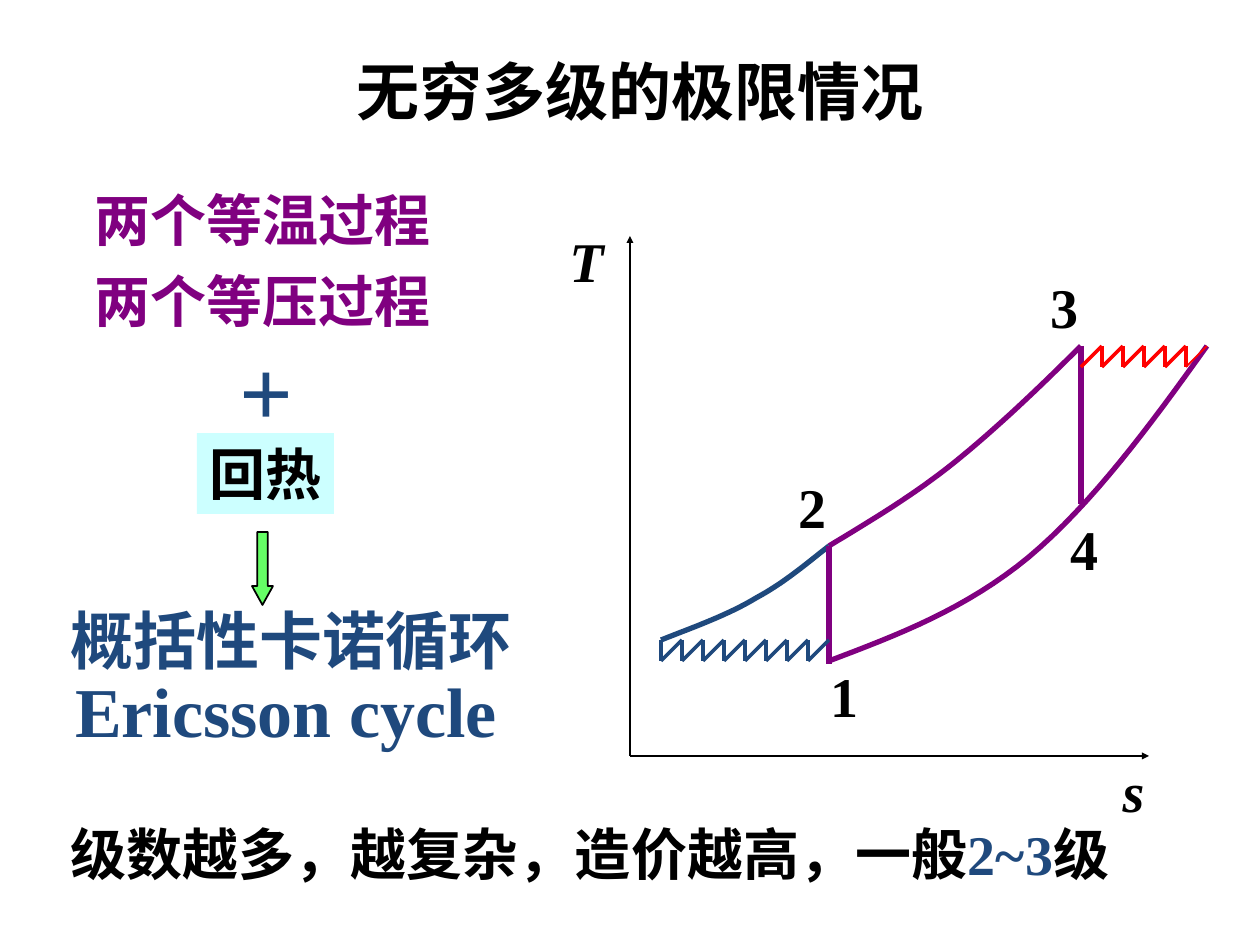
import pptx
import pptx.util
import pptx.dml.color
import pptx.enum.shapes
import pptx.enum.text
import pptx.oxml.ns
import lxml.etree

SCALE = 7257
BLACK, PURPLE, NAVY, RED = "000000", "800080", "1F497D", "FF0000"
TOOTH = 21

color = pptx.dml.color.RGBColor.from_string
shape_types = pptx.enum.shapes.MSO_SHAPE
center = pptx.enum.text.PP_ALIGN.CENTER

presentation = pptx.Presentation()
presentation.slide_width = pptx.util.Inches(10)
presentation.slide_height = pptx.util.Inches(7.5)
slide = presentation.slides.add_slide(presentation.slide_layouts[5])


def draw_path(points, line_color, width):
    emu_points = [(round(x * SCALE), round(y * SCALE)) for x, y in points]
    if len(points) == 2 and (points[0][0] == points[1][0] or points[0][1] == points[1][1]):
        shape = slide.shapes.add_connector(
            pptx.enum.shapes.MSO_CONNECTOR.STRAIGHT, *emu_points[0], *emu_points[1])
        lxml.etree.SubElement(shape._element.spPr, pptx.oxml.ns.qn("a:effectLst"))
    else:
        builder = slide.shapes.build_freeform(*emu_points[0], scale=1.0)
        builder.add_line_segments(emu_points[1:], close=False)
        shape = builder.convert_to_shape()
        shape.shadow.inherit = False
        shape.fill.background()
    shape.line.color.rgb = color(line_color)
    shape.line.width = pptx.util.Pt(width)
    return shape


def add_runs(paragraph, runs, size, italic=False):
    paragraph.alignment = center
    for text, text_color in runs:
        run = paragraph.add_run()
        run.text = text
        font_format = {"name": "Times New Roman", "size": pptx.util.Pt(size),
                       "bold": True, "italic": italic}
        for name, value in font_format.items():
            setattr(run.font, name, value)
        run.font.color.rgb = color(text_color)


title = slide.shapes.title
for name, value in {"left": 73, "top": 34, "width": 1134, "height": 113}.items():
    setattr(title, name, value * SCALE)
title.text_frame.vertical_anchor = pptx.enum.text.MSO_ANCHOR.MIDDLE
add_runs(title.text_frame.paragraphs[0], [("无穷多级的极限情况", BLACK)], 36)

for end in [(630, 236), (1149, 756)]:
    axis = draw_path([(630, 756), end], BLACK, 1.5)
    lxml.etree.SubElement(axis.line._get_or_add_ln(), pptx.oxml.ns.qn("a:tailEnd"),
                          type="triangle", w="sm", len="sm")

curves = [
    (PURPLE, [(829, 546), (872, 520), (914, 495), (955, 462),
              (997, 428), (1039, 388), (1081, 346)]),
    (NAVY, [(829, 546), (806, 564), (784, 583), (756, 598),
            (728, 615), (694, 627), (661, 640)]),
    (PURPLE, [(829, 661), (898, 635), (966, 609), (1029, 557),
              (1092, 504), (1150, 426), (1207, 346)]),
]
for curve_color, knots in curves:
    points = [knots[0]]
    for first in (0, 3):
        a, b, c, d = knots[first:first + 4]
        for step in range(1, 17):
            t = step / 16
            points.append(tuple(
                (1 - t) ** 3 * a[i] + 3 * (1 - t) ** 2 * t * b[i]
                + 3 * (1 - t) * t ** 2 * c[i] + t ** 3 * d[i] for i in (0, 1)))
    draw_path(points, curve_color, 3)

for x, top, bottom in [(829, 546, 664), (1081, 346, 504)]:
    draw_path([(x, top), (x, bottom)], PURPLE, 3)

for left, top, count, first_vertical, zigzag_color, last_width in [
        (661, 640, 8, 0, NAVY, 2), (1081, 346, 6, 1, RED, 1)]:
    for index in range(count):
        x = left + index * TOOTH
        if index >= first_vertical:
            draw_path([(x, top), (x, top + TOOTH)], zigzag_color, 2)
        width = last_width if index == count - 1 else 2
        draw_path([(x, top + TOOTH), (x + TOOTH, top)], zigzag_color, width)

arrow = slide.shapes.add_shape(shape_types.DOWN_ARROW,
                               252 * SCALE, 532 * SCALE, 21 * SCALE, 73 * SCALE)
arrow.shadow.inherit = False
arrow.adjustments[0] = 0.5
arrow.adjustments[1] = 0.9
arrow.fill.solid()
arrow.fill.fore_color.rgb = color("66FF66")
arrow.line.color.rgb = color(BLACK)
arrow.line.width = pptx.util.Pt(1)

texts = [
    ((786, 466, 53, 81), [[("2", BLACK)]], 32, False),
    ((818, 655, 53, 81), [[("1", BLACK)]], 32, False),
    ((1038, 266, 53, 81), [[("3", BLACK)]], 32, False),
    ((1058, 508, 53, 81), [[("4", BLACK)]], 32, False),
    ((557, 220, 59, 81), [[("T", BLACK)]], 32, True),
    ((1110, 750, 47, 81), [[("s", BLACK)]], 32, True),
    ((64, 179, 398, 161), [[("两个等温过程", PURPLE)], [("两个等压过程", PURPLE)]], 32, False),
    ((227, 326, 79, 126), [[("+", NAVY)]], 54, False),
    ((197, 433, 137, 81), [[("回热", BLACK)]], 32, False),
    ((54, 595, 474, 88), [[("概括性卡诺循环", NAVY)]], 36, False),
    ((35, 813, 1110, 81), [[("级数越多，越复杂，造价越高，一般", BLACK),
                            ("2~3", NAVY), ("级", BLACK)]], 32, False),
    ((56, 661, 460, 97), [[("Ericsson cycle", NAVY)]], 40, False),
]
for box, paragraphs, size, italic in texts:
    bounds = [value * SCALE for value in box]
    if paragraphs[0][0][0] == "回热":
        shape = slide.shapes.add_shape(shape_types.RECTANGLE, *bounds)
        shape.shadow.inherit = False
        shape.fill.solid()
        shape.fill.fore_color.rgb = color("CCFFFF")
        shape.line.fill.background()
    else:
        shape = slide.shapes.add_textbox(*bounds)
    frame = shape.text_frame
    frame.word_wrap = len(paragraphs) > 1
    frame.auto_size = pptx.enum.text.MSO_AUTO_SIZE.SHAPE_TO_FIT_TEXT
    for index, runs in enumerate(paragraphs):
        paragraph = frame.add_paragraph() if index else frame.paragraphs[0]
        if index:
            paragraph.space_before = pptx.util.Pt(8)
        add_runs(paragraph, runs, size, italic)

presentation.save("out.pptx")
